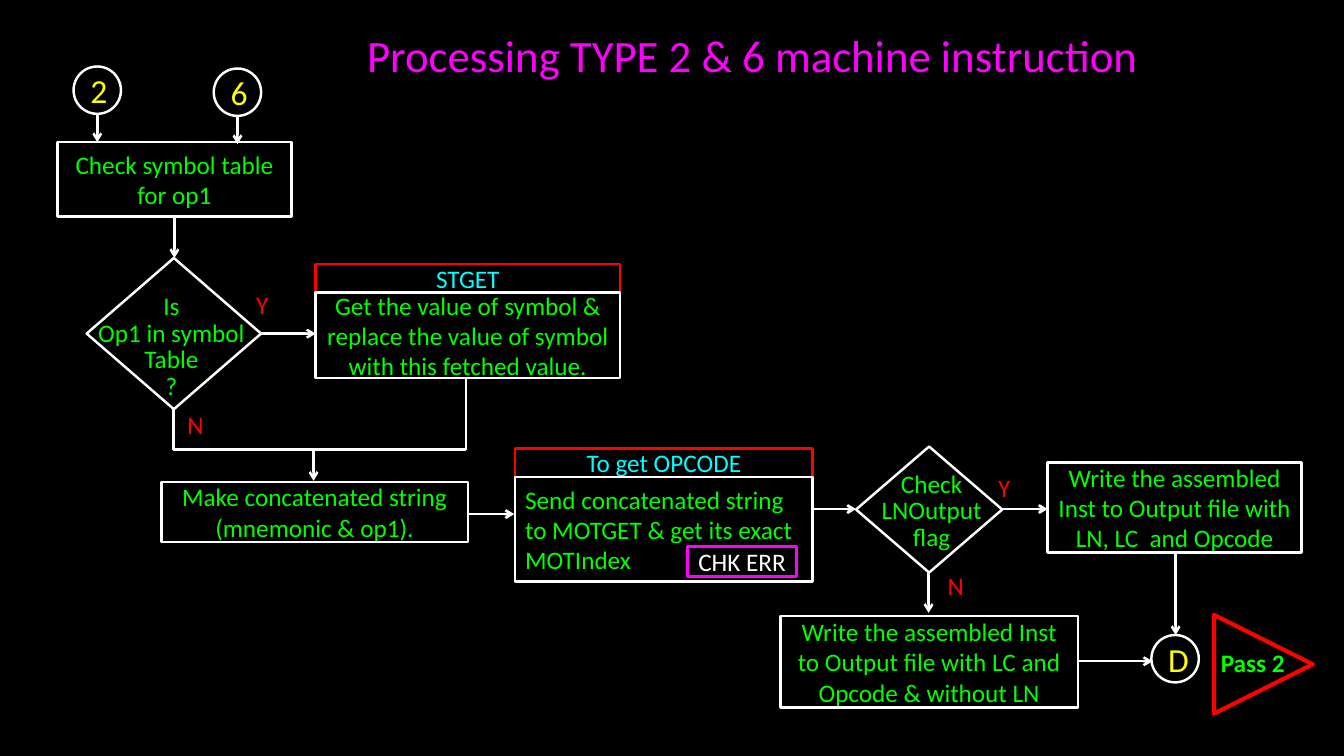
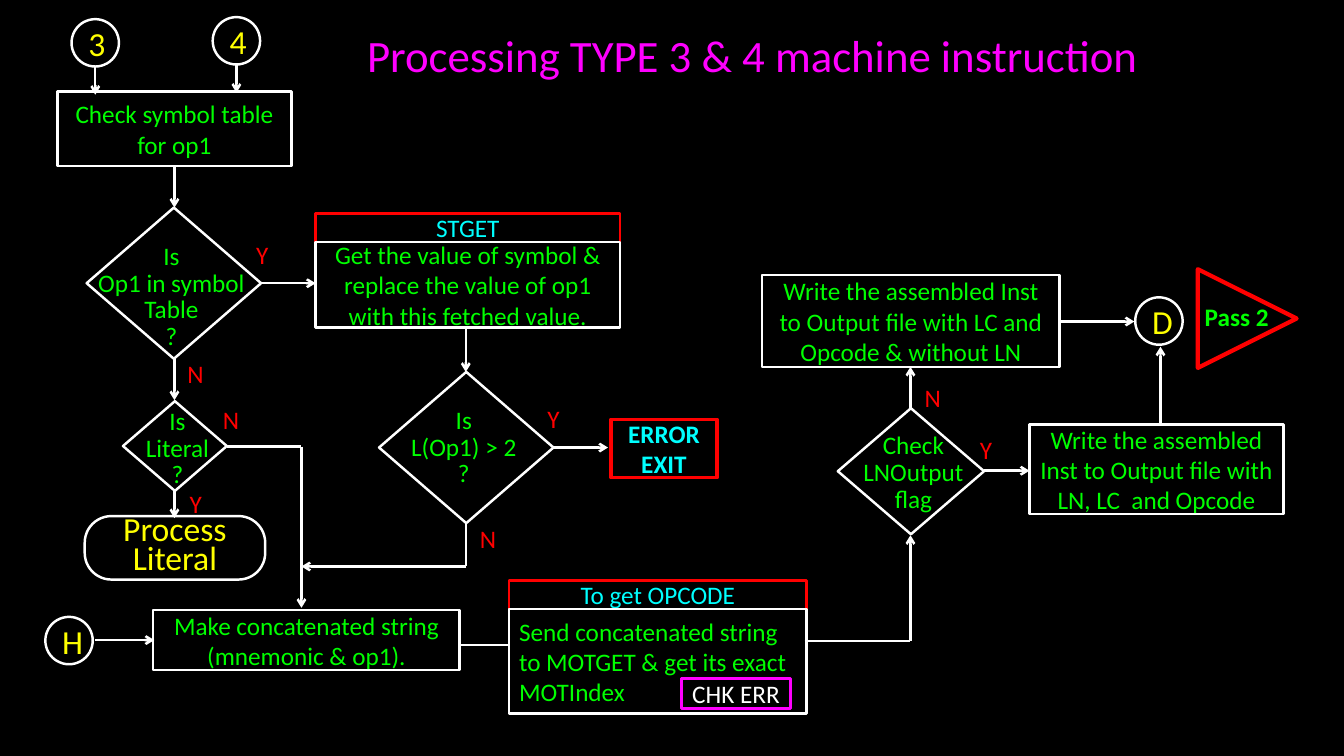
import itertools
import pptx
import pptx.util
import pptx.dml.color
import pptx.enum.shapes
import pptx.enum.text
import pptx.oxml.ns
import lxml.etree

Inches = pptx.util.Inches
Pt = pptx.util.Pt
RGBColor = pptx.dml.color.RGBColor
SHAPES = pptx.enum.shapes.MSO_SHAPE
ALIGN = pptx.enum.text.PP_ALIGN
ANCHOR = pptx.enum.text.MSO_ANCHOR
AUTO_SIZE = pptx.enum.text.MSO_AUTO_SIZE

BLACK = RGBColor(0, 0, 0)
WHITE = RGBColor(255, 255, 255)
RED = RGBColor(255, 0, 0)
GREEN = RGBColor(0, 255, 0)
CYAN = RGBColor(0, 255, 255)
YELLOW = RGBColor(255, 255, 0)
MAGENTA = RGBColor(255, 0, 255)
FONT = "Calibri"
CIRCLE = 0.47
TITLE_ONLY = 5


def write(frame, text, color, size=18, align=ALIGN.CENTER, bold=False, spacing=None):
    frame.text = text
    frame.word_wrap = True
    for para in frame.paragraphs:
        para.alignment = align
        if spacing:
            para.line_spacing = Pt(spacing)
        for span in para.runs:
            span.font.name = FONT
            span.font.size = Pt(size)
            span.font.bold = bold
            span.font.color.rgb = color


def outline(page, kind, box, color=WHITE, width=1.75):
    shape = page.shapes.add_shape(kind, *map(Inches, box))
    shape.shadow.inherit = False
    shape.fill.background()
    shape.line.color.rgb = color
    shape.line.width = Pt(width)
    return shape


def step(page, box, text, color=GREEN, border=WHITE, width=1.75,
         kind=SHAPES.RECTANGLE, **style):
    shape = outline(page, kind, box, border, width)
    shape.text_frame.vertical_anchor = ANCHOR.MIDDLE
    write(shape.text_frame, text, color, **style)
    return shape


def circle(page, left, top, text):
    step(page, (left, top, CIRCLE, CIRCLE), text, YELLOW,
         kind=SHAPES.FLOWCHART_CONNECTOR, size=24)


def caption(page, box, text, color, **style):
    frame = page.shapes.add_textbox(*map(Inches, box)).text_frame
    frame.auto_size = AUTO_SIZE.SHAPE_TO_FIT_TEXT
    write(frame, text, color, **style)
    return frame


def answer(page, left, top, text):
    frame = caption(page, (left, top, 0.56, 0.3), text, RED, align=ALIGN.LEFT)
    frame.margin_left = frame.margin_right = 0
    frame.margin_top = frame.margin_bottom = 0


def route(page, *points, arrow=True):
    for start, end in itertools.pairwise(points):
        line = page.shapes.add_connector(
            pptx.enum.shapes.MSO_CONNECTOR.STRAIGHT, *map(Inches, start + end))
        line.line.color.rgb = WHITE
        line.line.width = Pt(1.75)
        properties = line.line._get_or_add_ln()
        if arrow and end == points[-1]:
            head = lxml.etree.SubElement(properties, pptx.oxml.ns.qn("a:tailEnd"))
            head.set("type", "arrow")
        lxml.etree.SubElement(properties.getparent(), pptx.oxml.ns.qn("a:effectLst"))


def decision(page, box, text, inset):
    left, top, width, height = box
    side, drop = inset
    outline(page, SHAPES.DIAMOND, box)
    caption(page, (left - side, top + drop, width + 0.25, height - 0.35),
            text, GREEN, spacing=19)


def add_page(deck, title):
    page = deck.slides.add_slide(deck.slide_layouts[TITLE_ONLY])
    heading = page.shapes.title
    heading.left, heading.top = Inches(3.54), Inches(0.22)
    heading.width, heading.height = Inches(8.05), Inches(0.64)
    frame = heading.text_frame
    write(frame, title, MAGENTA, size=32, align=ALIGN.LEFT)
    frame.vertical_anchor = ANCHOR.TOP
    frame.auto_size = AUTO_SIZE.NONE
    return page


def entry(page, left, top, text, length=0.28):
    center, bottom = left + CIRCLE / 2, top + CIRCLE
    circle(page, left, top, text)
    route(page, (center, bottom), (center, bottom + length))


def subroutine(page, box, name, text, align=ALIGN.CENTER):
    left, top, width, height = box
    step(page, (left, top, width, 0.28), name, CYAN, RED)
    step(page, (left, top + 0.28, width, height - 0.28), text, align=align)


def symbol_lookup(page, left, top, replaced):
    center = left + 1.16
    step(page, (left, top, 2.32, 0.74), "Check symbol table for op1")
    route(page, (center, top + 0.74), (center, top + 1.15))
    decision(page, (left + 0.29, top + 1.15, 1.73, 1.5),
             "Is\nOp1 in symbol\nTable\n?", (0.15, 0.31))
    answer(page, left + 1.97, top + 1.46, "Y")
    answer(page, left + 1.29, top + 2.65, "N")
    route(page, (left + 2.02, top + 1.9), (left + 2.56, top + 1.9))
    subroutine(page, (left + 2.56, top + 1.21, 3.02, 1.13), "STGET",
               f"Get the value of symbol & replace the value of {replaced} "
               "with this fetched value.")


def concatenation(page, left, top):
    step(page, (left, top, 3.04, 0.6), "Make concatenated string (mnemonic & op1).")


def opcode_lookup(page, left, top):
    subroutine(page, (left, top, 2.95, 1.32), "To get OPCODE",
               "Send concatenated string to MOTGET & get its exact MOTIndex", ALIGN.LEFT)
    step(page, (left + 1.71, top + 0.97, 1.08, 0.3), "CHK ERR", WHITE, MAGENTA, 2.5)


def output_choice(page, left, top, without_top):
    decision(page, (left, top, 1.45, 1.25), "Check\nLNOutput\nflag", (0.1, 0.2))
    answer(page, left + 1.41, top + 0.26, "Y")
    route(page, (left + 1.45, top + 0.62), (left + 1.9, top + 0.62))
    step(page, (left + 1.9, top + 0.16, 2.52, 0.89),
         "Write the assembled Inst to Output file with LN, LC  and Opcode")
    step(page, (left - 0.75, without_top, 2.95, 0.91),
         "Write the assembled Inst to Output file with LC and Opcode & without LN")


def pass_two(page, left, top, circle_drop):
    circle(page, left - 0.62, top + circle_drop, "D")
    triangle = outline(page, SHAPES.FLOWCHART_EXTRACT, (left, top, 0.98, 0.98), RED, 3)
    triangle.rotation = 90
    triangle.fill.solid()
    triangle.fill.fore_color.rgb = BLACK
    caption(page, (left - 0.03, top + 0.27, 0.93, 0.4), "Pass 2", GREEN,
            align=ALIGN.LEFT, bold=True)


def literal_check(page, left, top):
    center = left + 0.51
    decision(page, (left, top, 1.03, 0.89), "Is\nLiteral\n?", (0.1, 0.03))
    answer(page, left + 0.66, top + 0.86, "Y")
    answer(page, left + 0.99, top + 0.03, "N")
    route(page, (center, top + 0.88), (center, top + 1.16))
    literal = step(page, (left - 0.38, top + 1.14, 1.79, 0.63), "Process Literal",
                   YELLOW, kind=SHAPES.ROUNDED_RECTANGLE, size=24, spacing=21)
    literal.adjustments[0] = 0.42


def length_check(page, left, top):
    decision(page, (left, top, 1.73, 1.5), "Is\nL(Op1) > 2\n?", (0.15, 0.31))
    answer(page, left + 1.67, top + 0.31, "Y")
    answer(page, left + 1, top + 1.5, "N")
    route(page, (left + 1.73, top + 0.75), (left + 2.27, top + 0.75))
    step(page, (left + 2.3, top + 0.47, 1.05, 0.58), "ERROR\nEXIT", CYAN, RED, 2.5,
         bold=True)


def types_two_and_six(deck):
    page = add_page(deck, "Processing TYPE 2 & 6 machine instruction")
    entry(page, 0.73, 0.66, "2")
    entry(page, 2.12, 0.68, "6")
    symbol_lookup(page, 0.57, 1.41, "symbol")
    route(page, (1.72, 4.06), (1.72, 4.46), (4.62, 4.46), (4.62, 3.75), arrow=False)
    route(page, (3.11, 4.45), (3.11, 4.77))
    concatenation(page, 1.6, 4.78)
    route(page, (4.63, 5.1), (5.1, 5.1))
    opcode_lookup(page, 5.11, 4.45)
    route(page, (8.04, 5.05), (8.49, 5.05))
    output_choice(page, 8.49, 4.43, 6.11)
    answer(page, 9.4, 5.66, "N")
    route(page, (9.21, 5.68), (9.21, 6.08))
    route(page, (10.69, 6.56), (11.43, 6.56))
    route(page, (11.66, 5.48), (11.66, 6.3))
    pass_two(page, 12.04, 6.1, 0.2)


def types_three_and_four(deck):
    page = add_page(deck, "Processing TYPE 3 & 4 machine instruction")
    entry(page, 0.71, 0.19, "3")
    entry(page, 2.11, 0.17, "4")
    symbol_lookup(page, 0.57, 0.91, "op1")
    route(page, (1.73, 3.56), (1.73, 3.97))
    literal_check(page, 1.22, 3.98)
    route(page, (2.25, 4.43), (2.99, 4.43), (2.99, 6.03))
    route(page, (4.62, 3.25), (4.62, 3.69))
    length_check(page, 3.76, 3.69)
    route(page, (4.62, 5.19), (4.62, 5.62), (2.99, 5.62))
    entry_top = 6.12
    circle(page, 0.45, entry_top, "H")
    route(page, (0.94, 6.35), (1.53, 6.35))
    concatenation(page, 1.52, 6.05)
    route(page, (4.57, 6.4), (5.04, 6.4), arrow=False)
    opcode_lookup(page, 5.05, 5.76)
    route(page, (7.98, 6.36), (9.03, 6.36), (9.03, 5.31))
    output_choice(page, 8.31, 4.05, 2.73)
    answer(page, 9.17, 3.79, "N")
    route(page, (9.03, 4.05), (9.03, 3.64))
    route(page, (10.5, 3.19), (11.25, 3.19))
    route(page, (11.51, 4.21), (11.51, 3.44))
    pass_two(page, 11.88, 2.67, 0.28)


deck = pptx.Presentation()
deck.slide_width, deck.slide_height = Inches(13.33), Inches(7.5)
backdrop = deck.slide_master.background.fill
backdrop.solid()
backdrop.fore_color.rgb = BLACK
types_two_and_six(deck)
types_three_and_four(deck)
deck.save("out.pptx")
